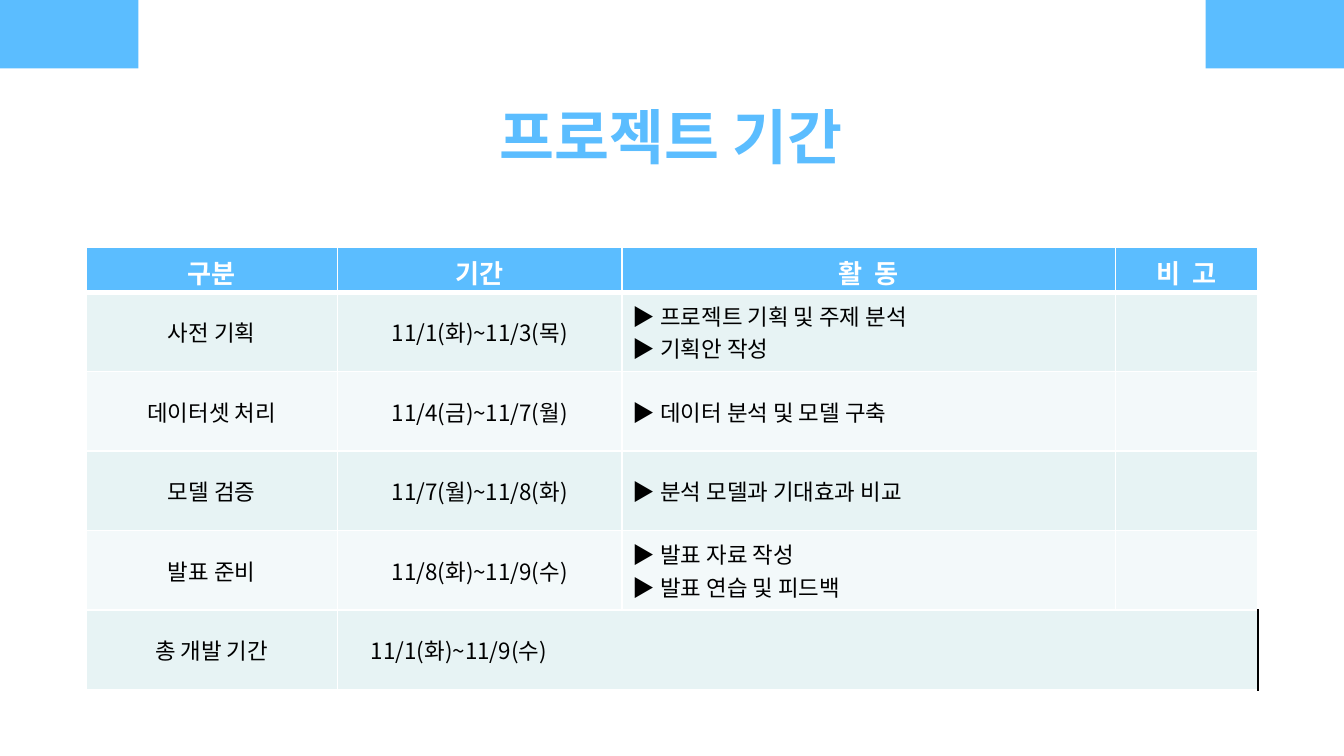
from lxml.etree import SubElement
from pptx import Presentation
from pptx.dml.color import RGBColor
from pptx.enum.shapes import MSO_SHAPE
from pptx.enum.text import MSO_ANCHOR, PP_ALIGN
from pptx.oxml.ns import qn
from pptx.util import Inches, Pt

COLORS = {
    "accent": "5BBDFF",
    "white": "FFFFFF",
    "black": "000000",
    "band_dark": "E7F3F4",
    "band_light": "F3F9FA",
}
TITLE_FONT = "Roboto"
TABLE_FONT = "Noto Sans CJK KR"
COLUMN_WIDTHS = [1.87, 2.12, 3.67, 1.06]
TABLE_HEIGHT, HEADER_HEIGHT = 3.29, 0.33
HEADERS = ["구분", "기간", "활  동", "비  고"]
SCHEDULE = [
    ["사전 기획", "11/1(화)~11/3(목)", "▶ 프로젝트 기획 및 주제 분석\n▶ 기획안 작성", ""],
    ["데이터셋 처리", "11/4(금)~11/7(월)", "▶ 데이터 분석 및 모델 구축", ""],
    ["모델 검증", "11/7(월)~11/8(화)", "▶ 분석 모델과 기대효과 비교", ""],
    ["발표 준비", "11/8(화)~11/9(수)", "▶ 발표 자료 작성\n▶ 발표 연습 및 피드백", ""],
    ["총 개발 기간", "11/1(화)~11/9(수)", "", ""],
]


def color(name):
    return RGBColor.from_string(COLORS[name])


def style_text(frame, font_name, size, color_name, bold, align):
    for para in frame.paragraphs:
        para.alignment = align
        para.font.size = Pt(size)
        for span in para.runs:
            span.font.name = font_name
            span.font.size = Pt(size)
            span.font.bold = bold
            span.font.color.rgb = color(color_name)


def set_borders(cell, top=1, bottom=1, right_color="white"):
    properties = cell._tc.get_or_add_tcPr()
    sides = [("L", 1, "white"), ("R", 1, right_color), ("T", top, "white"), ("B", bottom, "white")]
    for side, width, name in sides:
        line = SubElement(properties, qn(f"a:ln{side}"), w=str(Pt(width)))
        fill = SubElement(line, qn("a:solidFill"))
        SubElement(fill, qn("a:srgbClr"), val=COLORS[name])


def add_title(page, left, top, width, height):
    box = page.shapes.title
    box.left, box.top = Inches(left), Inches(top)
    box.width, box.height = Inches(width), Inches(height)
    frame = box.text_frame
    frame.text = "프로젝트 기간"
    frame.vertical_anchor = MSO_ANCHOR.TOP
    frame.margin_top, frame.margin_bottom = Inches(0.05), Inches(0.04)
    style_text(frame, TITLE_FONT, 32, "accent", True, PP_ALIGN.CENTER)


def fill_cell(cell, text, row, column):
    is_header = row == 0
    is_total = row == len(SCHEDULE)
    cell.text = text
    cell.vertical_anchor = MSO_ANCHOR.MIDDLE
    cell.margin_left = Inches(0.25 if is_total and column == 1 else 0.08)
    cell.margin_right = Inches(0.08)
    cell.margin_top = Inches(0.04)
    cell.margin_bottom = Inches(0.01 if is_header else 0.04)
    set_borders(
        cell,
        top=3 if row == 1 else 1,
        bottom=3 if is_header else 1,
        right_color="black" if is_total and column > 0 else "white",
    )
    band = "band_dark" if row % 2 else "band_light"
    cell.fill.solid()
    cell.fill.fore_color.rgb = color("accent" if is_header else band)
    left_aligned = not is_header and (column == 2 or is_total and column == 1)
    style_text(
        cell.text_frame,
        TABLE_FONT,
        14 if is_header else 12,
        "white" if is_header else "black",
        is_header,
        PP_ALIGN.LEFT if left_aligned else PP_ALIGN.CENTER,
    )


def add_schedule(page, left, top):
    rows = [HEADERS] + SCHEDULE
    row_height = (TABLE_HEIGHT - HEADER_HEIGHT) / len(SCHEDULE)
    table = page.shapes.add_table(
        len(rows), len(HEADERS), Inches(left), Inches(top),
        Inches(sum(COLUMN_WIDTHS)), Inches(TABLE_HEIGHT),
    ).table
    table.first_row = table.horz_banding = False
    for column, width in enumerate(COLUMN_WIDTHS):
        table.columns[column].width = Inches(width)
    for row, texts in enumerate(rows):
        table.rows[row].height = Inches(row_height if row else HEADER_HEIGHT)
        for column, text in enumerate(texts):
            fill_cell(table.cell(row, column), text, row, column)
    last = len(rows) - 1
    table.cell(last, 1).merge(table.cell(last, 3))


def add_corner(page, left, top, width, height):
    corner = page.shapes.add_shape(
        MSO_SHAPE.RECTANGLE, Inches(left), Inches(top), Inches(width), Inches(height)
    )
    corner.shadow.inherit = False
    corner.fill.solid()
    corner.fill.fore_color.rgb = color("accent")
    corner.line.fill.background()


def main():
    deck = Presentation()
    deck.slide_width = Inches(10)
    deck.slide_height = deck.slide_width * 9 // 16
    page = deck.slides.add_slide(deck.slide_layouts[5])
    add_title(page, 1.95, 0.69, 6.09, 0.61)
    add_schedule(page, 0.64, 1.84)
    for left in (0, 8.97):
        add_corner(page, left, 0, 1.03, 0.51)
    deck.save("out.pptx")


if __name__ == "__main__":
    main()
